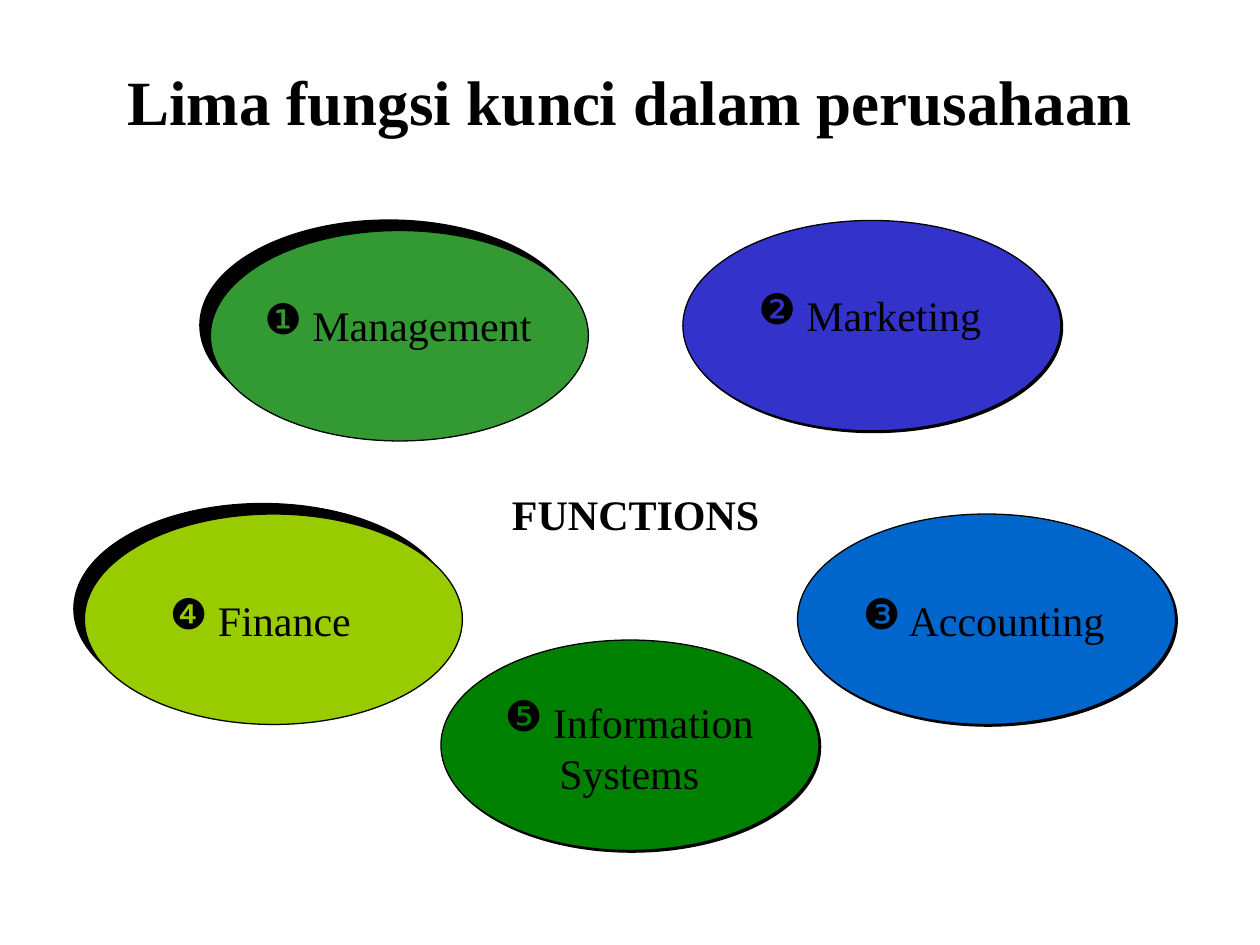
from lxml.etree import SubElement
from pptx import Presentation
from pptx.dml.color import RGBColor
from pptx.enum.shapes import MSO_SHAPE as Shape
from pptx.enum.text import MSO_ANCHOR as Anchor, PP_ALIGN as Align
from pptx.oxml.ns import qn
from pptx.util import Inches, Pt

COLORS = {
    "ink": "000000",
    "management": "339933",
    "marketing": "3333CC",
    "accounting": "0066CC",
    "finance": "99CC00",
    "systems": "008000",
}
FONT = "Times New Roman"
OVAL_W, OVAL_H = 3, 1.67
LOW_RIGHT, UP_LEFT = (1.4, 45), (8.5, 225)  # shadow distance in points, angle

# colour, oval corner, shadow, number, name, label box relative to the oval, alignment
FUNCTIONS = [
    ("accounting", (6.33, 4.08), LOW_RIGHT, "❸", "Accounting", (0.42, 0.59, 2.17, 0.5), Align.LEFT),
    ("finance", (0.67, 4.08), UP_LEFT, "❹", "Finance", (0.58, 0.59, 1.75, 0.5), Align.LEFT),
    ("marketing", (5.42, 1.75), LOW_RIGHT, "❷", "Marketing", (0.5, 0.5, 2.08, 0.5), Align.LEFT),
    ("management", (1.67, 1.83), UP_LEFT, "❶", "Management", (0.33, 0.5, 2.33, 0.5), Align.LEFT),
    ("systems", (3.5, 5.08), LOW_RIGHT, "❺", "Information Systems", (0.33, 0.4, 2.33, 0.9), Align.CENTER),
]


def rgb(name):
    return RGBColor.from_string(COLORS[name])


def add_text(slide, text, box, size=24, bold=False, align=Align.CENTER,
             anchor=Anchor.TOP, bullet=None):
    frame = slide.shapes.add_textbox(*map(Inches, box)).text_frame
    frame.word_wrap = True
    frame.vertical_anchor = anchor
    paragraph = frame.paragraphs[0]
    paragraph.alignment = align
    run = paragraph.add_run()
    run.text = text
    run.font.name, run.font.size, run.font.bold = FONT, Pt(size), bold
    run.font.color.rgb = rgb("ink")
    if bullet:
        properties = paragraph._p.get_or_add_pPr()
        properties.set("marL", "0")
        properties.set("indent", "0")
        bullet_color = SubElement(properties, qn("a:buClr"))
        SubElement(bullet_color, qn("a:srgbClr"), val=COLORS["ink"])
        SubElement(properties, qn("a:buChar"), char=bullet)


def add_hard_shadow(shape, distance, angle):
    shape.shadow.inherit = False
    effects = shape._element.spPr.find(qn("a:effectLst"))
    shadow = SubElement(effects, qn("a:outerShdw"), blurRad="0", dist=str(Pt(distance)),
                        dir=str(angle * 60000), algn="ctr", rotWithShape="0")
    SubElement(shadow, qn("a:srgbClr"), val=COLORS["ink"])


def add_function(slide, color, corner, shadow, number, name, label, align):
    """Draw one business function: a shadowed oval with a numbered label."""
    left, top = corner
    oval = slide.shapes.add_shape(Shape.OVAL, *map(Inches, (left, top, OVAL_W, OVAL_H)))
    oval.fill.solid()
    oval.fill.fore_color.rgb = rgb(color)
    oval.line.color.rgb = rgb("ink")
    oval.line.width = Pt(0.75)
    add_hard_shadow(oval, *shadow)
    dx, dy, width, height = label
    add_text(slide, f" {name}", (left + dx, top + dy, width, height),
             align=align, bullet=number)


def main():
    deck = Presentation()
    deck.slide_width, deck.slide_height = Inches(10), Inches(7.5)
    slide = deck.slides.add_slide(deck.slide_layouts[6])
    add_text(slide, "Lima fungsi kunci dalam perusahaan", (0.75, 0.17, 8.5, 1.25),
             size=36, bold=True, anchor=Anchor.MIDDLE)
    add_text(slide, "FUNCTIONS", (3.92, 3.83, 2.25, 0.5), bold=True)
    for function in FUNCTIONS:
        add_function(slide, *function)
    deck.save("out.pptx")


if __name__ == "__main__":
    main()
